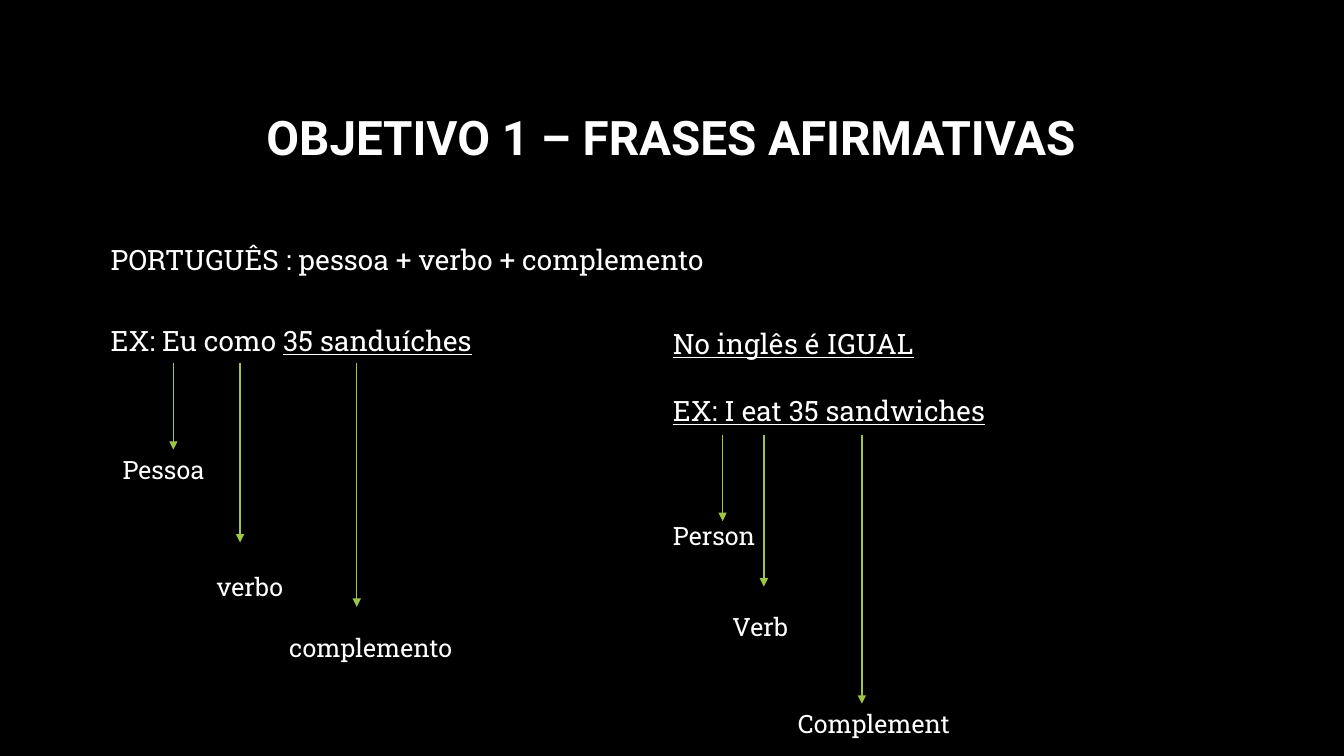
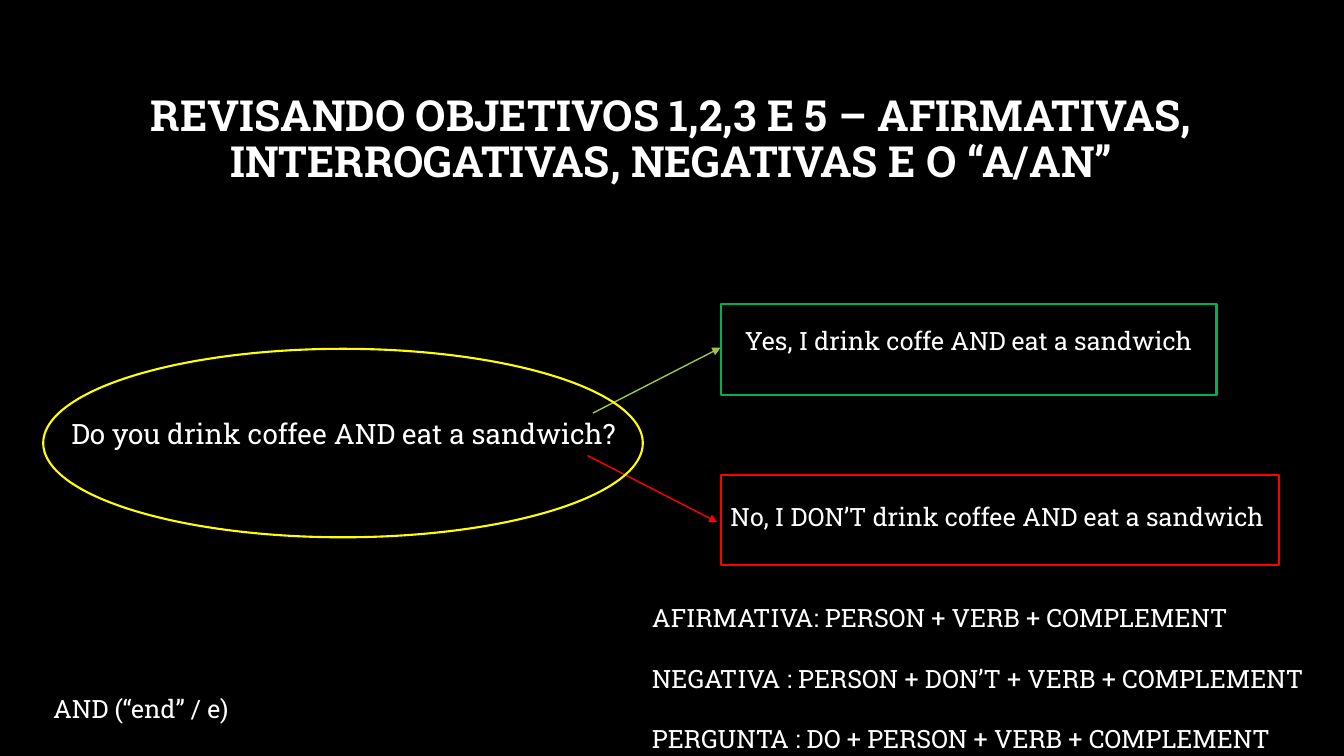
from lxml.etree import SubElement
from pptx import Presentation
from pptx.dml.color import RGBColor
from pptx.enum.shapes import MSO_CONNECTOR, MSO_SHAPE
from pptx.enum.text import MSO_ANCHOR, PP_ALIGN
from pptx.oxml.ns import qn
from pptx.util import Cm, Pt

BLACK = RGBColor(0x00, 0x00, 0x00)
WHITE = RGBColor(0xFF, 0xFF, 0xFF)
LIME = RGBColor(0x9E, 0xC5, 0x44)
GREEN = RGBColor(0x00, 0xB0, 0x50)
RED = RGBColor(0xFF, 0x00, 0x00)
YELLOW = RGBColor(0xFF, 0xFF, 0x00)
SLAB = "Roboto Slab"
SANS = "Roboto"
LABEL, BODY = 18, 20  # text sizes in points
LINE_H = 1.06         # height of a label box, cm

# Paragraphs are lists of (text, underlined) runs; lengths are in cm.
PT_TEXT = [
    [("PORTUGUÊS : pessoa + verbo + complemento", False)],
    [("EX: Eu como ", False), ("35 sanduíches", True)],
]
EN_TEXT = [
    [("No inglês é IGUAL", True)],
    [("EX: I eat 35 sandwiches", True)],
]
# Arrow top, then (arrow x, arrow end, label, label left, top, width)
PARTS = [
    (9.14, [
        (4.37, 11.33, "Pessoa", 2.84, 11.33, 3.2),
        (6.05, 13.67, "verbo", 5.21, 14.27, 2.34),
        (8.99, 15.29, "complemento", 7.04, 15.82, 4.85),
    ]),
    (10.95, [
        (18.21, 13.13, "Person", 16.71, 12.98, 2.92),
        (19.25, 14.78, "Verb", 18.21, 15.29, 2.34),
        (21.72, 17.73, "Complement", 19.86, 17.73, 6.38),
    ]),
]

# Text, size, left, top, width
LINES = [
    ("Do you drink coffee AND eat a sandwich?", BODY, 1.55, 10.36, 15.21),
    ("Yes, I drink coffe AND eat a sandwich", LABEL, 18.52, 8.08, 13.34),
    ("No, I DON’T drink coffee AND eat a sandwich", LABEL, 18.16, 12.52, 14.73),
    ("AND (“end” / e)", LABEL, 1.09, 17.35, 8.66),
]
RULES = [
    "AFIRMATIVA: PERSON + VERB + COMPLEMENT",
    "NEGATIVA : PERSON + DON’T + VERB + COMPLEMENT",
    "PERGUNTA : DO + PERSON + VERB + COMPLEMENT",
]
FRAMES = [
    (MSO_SHAPE.RECTANGLE, (18.16, 7.67, 12.5, 2.29), GREEN),
    (MSO_SHAPE.RECTANGLE, (18.16, 11.96, 14.07, 2.29), RED),
    (MSO_SHAPE.OVAL, (1.09, 8.79, 15.11, 4.75), YELLOW),
]
ARROWS = [
    ((14.94, 10.41), (18.16, 8.76), LIME),
    ((14.81, 11.48), (18.08, 13.16), RED),
]


def add_text(slide, box, paras, size, font=SLAB, bold=False, lead=1.0, gap=0):
    """Add a text box; gap is the space in points between paragraphs."""
    frame = slide.shapes.add_textbox(*map(Cm, box)).text_frame
    frame.word_wrap = True
    for i, runs in enumerate(paras):
        para = frame.paragraphs[0] if i == 0 else frame.add_paragraph()
        para.line_spacing = lead
        para.space_before = Pt(gap if i else 0)
        for text, under in runs:
            run = para.add_run()
            run.text = text
            face = run.font
            face.name, face.size, face.bold = font, Pt(size), bold
            face.color.rgb = WHITE
            if under:
                face.underline = True
    return frame


def add_line(slide, text, size, left, top, width):
    add_text(slide, (left, top, width, LINE_H), [[(text, False)]], size)


def add_arrow(slide, start, end, color):
    line = slide.shapes.add_connector(
        MSO_CONNECTOR.STRAIGHT, *map(Cm, start + end))
    line.line.color.rgb = color
    line.line.width = Pt(1)
    props = line._element.spPr
    SubElement(props.find(qn("a:ln")), qn("a:tailEnd"), type="triangle")
    SubElement(props, qn("a:effectLst"))


def add_frame(slide, kind, box, color):
    shape = slide.shapes.add_shape(kind, *map(Cm, box))
    shape.shadow.inherit = False
    shape.fill.background()
    shape.line.color.rgb = color
    shape.line.width = Pt(1.5)


def add_slide(deck, title, size, font):
    slide = deck.slides.add_slide(deck.slide_layouts[6])
    fill = slide.background.fill
    fill.solid()
    fill.fore_color.rgb = BLACK
    frame = add_text(slide, (2.54, 1.7, 28.75, 3.68), [[(title, False)]],
                     size, font, bold=True, lead=0.9)
    frame.vertical_anchor = MSO_ANCHOR.MIDDLE
    frame.paragraphs[0].alignment = PP_ALIGN.CENTER
    return slide


def build_order(deck):
    slide = add_slide(deck, "OBJETIVO 1 – FRASES AFIRMATIVAS", 34, SANS)
    add_text(slide, (2.54, 5.82, 17.32, 6.68), PT_TEXT, BODY, lead=1.2, gap=29)
    add_text(slide, (16.71, 8.1, 16.36, 2.82), EN_TEXT, BODY, gap=24)
    for top, parts in PARTS:
        for x, end, label, *place in parts:
            add_arrow(slide, (x, top), (x, end), LIME)
            add_line(slide, label, LABEL, *place)


def build_review(deck):
    slide = add_slide(
        deck, "REVISANDO OBJETIVOS 1,2,3 E 5 – AFIRMATIVAS, "
        "INTERROGATIVAS, NEGATIVAS E O “A/AN”", 30.6, SLAB)
    for arrow in ARROWS:
        add_arrow(slide, *arrow)
    for line in LINES:
        add_line(slide, *line)
    for frame in FRAMES:
        add_frame(slide, *frame)
    add_text(slide, (16.18, 15.06, 17.55, 4.11),
             [[(rule, False)] for rule in RULES], LABEL, gap=21.5)


def main():
    deck = Presentation()
    deck.slide_width, deck.slide_height = Cm(33.87), Cm(19.05)
    build_order(deck)
    build_review(deck)
    deck.save("out.pptx")


if __name__ == "__main__":
    main()
